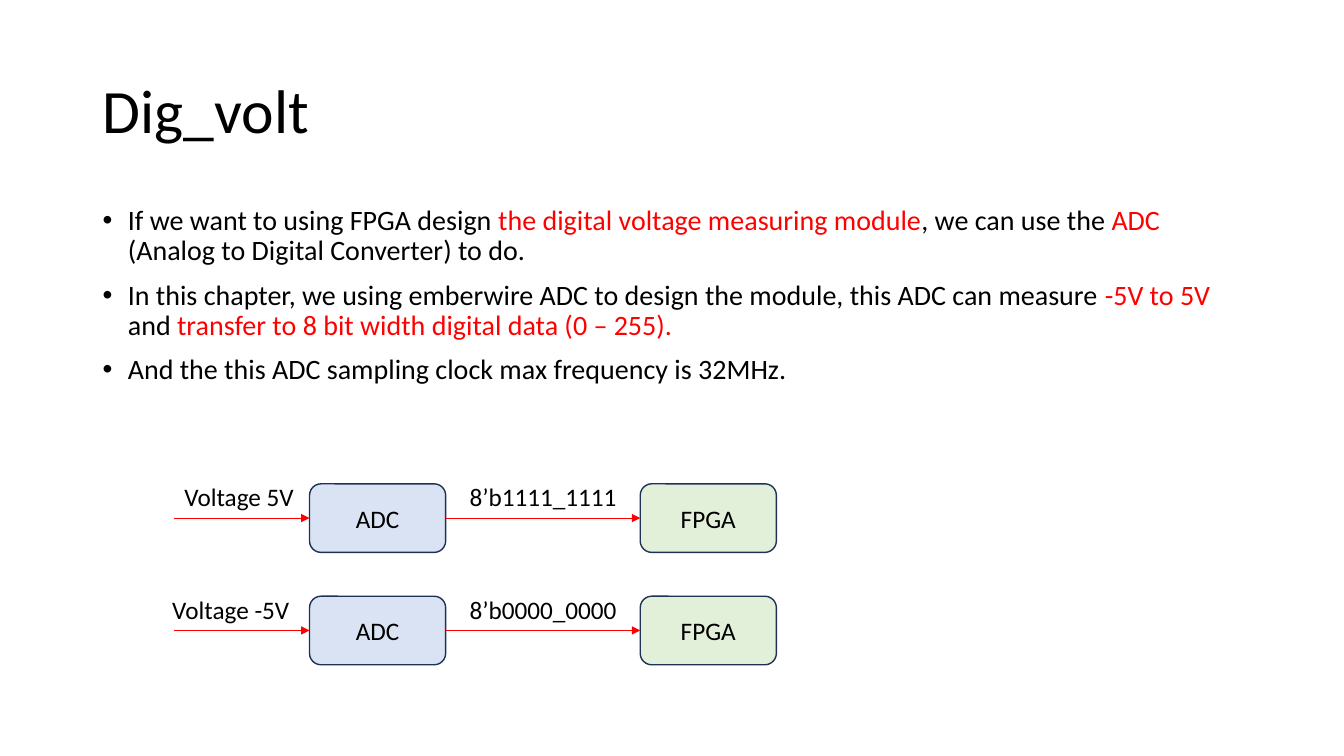
from lxml import etree
from pptx import Presentation
from pptx.dml.color import RGBColor
from pptx.enum.shapes import MSO_CONNECTOR, MSO_SHAPE
from pptx.enum.text import MSO_ANCHOR, PP_ALIGN
from pptx.oxml.ns import qn
from pptx.util import Inches, Pt

STRAIGHT = MSO_CONNECTOR.STRAIGHT
ROUNDED = MSO_SHAPE.ROUNDED_RECTANGLE
MIDDLE, TOP = MSO_ANCHOR.MIDDLE, MSO_ANCHOR.TOP
CENTER = PP_ALIGN.CENTER
LEFT_SIDE, RIGHT_SIDE = 1, 3

BLACK = RGBColor(0x00, 0x00, 0x00)
RED = RGBColor(0xFF, 0x00, 0x00)
NAVY = RGBColor(0x1E, 0x32, 0x56)
PALE_BLUE = RGBColor(0xDA, 0xE3, 0xF3)
PALE_GREEN = RGBColor(0xE2, 0xF0, 0xD9)
FONT = "Calibri"

TITLE = "Dig_volt"
BULLETS = [
    [("If we want to using FPGA design ", BLACK),
     ("the digital voltage measuring module", RED),
     (", we can use the ", BLACK),
     ("ADC", RED),
     (" (Analog to Digital Converter) to do.", BLACK)],
    [("In this chapter, we using emberwire ADC to design the module, "
      "this ADC can measure ", BLACK),
     ("-5V to 5V", RED),
     (" and ", BLACK),
     ("transfer to 8 bit width digital data (0 – 255).", RED)],
    [("And the this ADC sampling clock max frequency is 32MHz.", BLACK)],
]
CHAINS = [
    ("Voltage 5V", 1.73, "8’b1111_1111"),
    ("Voltage -5V", 1.61, "8’b0000_0000"),
]

SLIDE_W, SLIDE_H = 13.33, 7.5
MARGIN, CONTENT_W = 0.92, 11.5
BOX_W, BOX_H = 1.35, 0.68
INPUT_X, ADC_X, FPGA_X = 1.73, 3.07, 6.35
FIRST_ROW, ROW_PITCH = 4.8, 1.115
LABEL_RISE, LABEL_H = 0.07, 0.4
CODE_X = 4.56


def style(paragraph, size):
    paragraph.font.name = FONT
    paragraph.font.size = Pt(size)
    paragraph.font.color.rgb = BLACK


def add_text(slide, left, top, width, height, text, size, anchor=TOP):
    box = slide.shapes.add_textbox(*map(Inches, (left, top, width, height)))
    frame = box.text_frame
    frame.word_wrap = True
    frame.vertical_anchor = anchor
    frame.text = text
    style(frame.paragraphs[0], size)
    return frame


def add_bullets(slide):
    frame = add_text(slide, MARGIN, 2, CONTENT_W, 4.76, "", 20)
    for index, pieces in enumerate(BULLETS):
        paragraph = frame.add_paragraph() if index else frame.paragraphs[0]
        paragraph.line_spacing = 0.9
        paragraph.space_before = Pt(10)
        style(paragraph, 20)
        properties = paragraph._p.get_or_add_pPr()
        properties.set("marL", str(Inches(0.25)))
        properties.set("indent", str(-Inches(0.25)))
        defaults = properties.find(qn("a:defRPr"))
        for tag, key, value in (("a:buFont", "typeface", "Arial"),
                                ("a:buChar", "char", "•")):
            defaults.addprevious(etree.Element(qn(tag), {key: value}))
        for text, color in pieces:
            run = paragraph.add_run()
            run.text = text
            run.font.color.rgb = color


def add_block(slide, left, top, name, fill):
    block = slide.shapes.add_shape(
        ROUNDED, *map(Inches, (left, top, BOX_W, BOX_H)))
    block.shadow.inherit = False
    block.fill.solid()
    block.fill.fore_color.rgb = fill
    block.line.color.rgb = NAVY
    block.line.width = Pt(1)
    block.text_frame.text = name
    block.text_frame.vertical_anchor = MIDDLE
    label = block.text_frame.paragraphs[0]
    label.alignment = CENTER
    style(label, 18)
    return block


def add_arrow(slide, start, end, y):
    arrow = slide.shapes.add_connector(
        STRAIGHT, Inches(start), Inches(y), Inches(end), Inches(y))
    arrow.line.color.rgb = RED
    arrow.line.width = Pt(0.5)
    etree.SubElement(arrow.line._get_or_add_ln(), qn("a:tailEnd"),
                     type="triangle")
    etree.SubElement(arrow._element.spPr, qn("a:effectLst"))
    return arrow


def add_chain(slide, top, voltage, voltage_x, code):
    adc = add_block(slide, ADC_X, top, "ADC", PALE_BLUE)
    fpga = add_block(slide, FPGA_X, top, "FPGA", PALE_GREEN)
    axis = top + BOX_H / 2
    signal = add_arrow(slide, INPUT_X, ADC_X, axis)
    signal.end_connect(adc, LEFT_SIDE)
    data = add_arrow(slide, ADC_X + BOX_W, FPGA_X, axis)
    data.begin_connect(adc, RIGHT_SIDE)
    data.end_connect(fpga, LEFT_SIDE)
    label_y = top - LABEL_RISE
    for left, right, text in ((voltage_x, ADC_X, voltage),
                              (CODE_X, FPGA_X, code)):
        add_text(slide, left, label_y, right - left, LABEL_H, text, 18)


def main():
    """Build the voltage measuring slide and save it."""
    deck = Presentation()
    deck.slide_width, deck.slide_height = Inches(SLIDE_W), Inches(SLIDE_H)
    slide = deck.slides.add_slide(deck.slide_layouts[6])
    title = add_text(slide, MARGIN, 0.4, CONTENT_W, 1.45, TITLE, 44, MIDDLE)
    title.paragraphs[0].line_spacing = 0.9
    add_bullets(slide)
    for row, chain in enumerate(CHAINS):
        add_chain(slide, FIRST_ROW + row * ROW_PITCH, *chain)
    deck.save("out.pptx")


if __name__ == "__main__":
    main()
